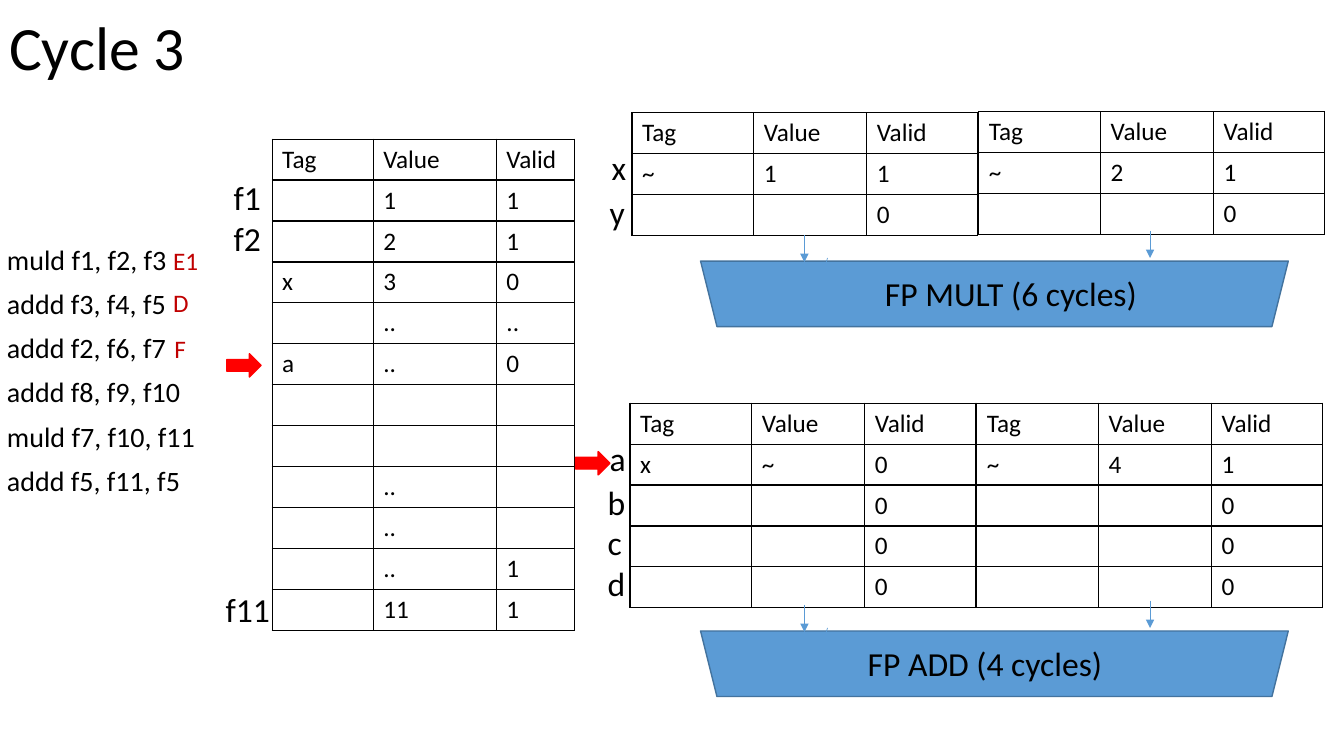
from lxml import etree
from pptx import Presentation
from pptx.dml.color import RGBColor
from pptx.enum.shapes import MSO_CONNECTOR, MSO_SHAPE
from pptx.enum.text import MSO_ANCHOR, MSO_AUTO_SIZE, PP_ALIGN
from pptx.oxml import parse_xml
from pptx.oxml.ns import nsdecls, qn
from pptx.util import Pt

LINE = MSO_CONNECTOR.STRAIGHT
TRAP, ARROW = MSO_SHAPE.TRAPEZOID, MSO_SHAPE.RIGHT_ARROW
LEFT, MIDDLE, TOP = PP_ALIGN.LEFT, MSO_ANCHOR.MIDDLE, MSO_ANCHOR.TOP
FIXED = MSO_AUTO_SIZE.NONE

BLACK = RGBColor(0, 0, 0)
BLUE = RGBColor(0x5B, 0x9B, 0xD5)
NAVY = RGBColor(0x43, 0x73, 0x9E)
RED = RGBColor(0xFF, 0, 0)
CRIMSON = RGBColor(0xC0, 0, 0)

FONT = "Calibri"
ROW = 29.23  # table row height
HEAD = ["Tag", "Value", "Valid"]
FREE = ["", "", "0"]
WIDE = [87.1, 80.7, 79.2]
SLIM = [72.2, 88, 55.8]

CODE = ["muld f1, f2, f3", "addd f3, f4, f5", "addd f2, f6, f7",
        "addd f8, f9, f10", "muld f7, f10, f11", "addd f5, f11, f5"]
REGS = [HEAD, ["", "1", "1"], ["", "2", "1"], ["x", "3", "0"],
        ["", "..", ".."], ["a", "..", "0"], ["", "", ""], ["", "", ""],
        ["", "..", ""], ["", "..", ""], ["", "..", "1"], ["", "11", "1"]]

# Stations: left, top, rows
BANKS = [
    (450, 288, [HEAD, ["x", "~", "0"], FREE, FREE, FREE]),
    (697.7, 288, [HEAD, ["~", "4", "1"], FREE, FREE, FREE]),
    (451.4, 80.6, [HEAD, ["~", "1", "1"], FREE]),
    (699.1, 79.9, [HEAD, ["~", "2", "1"], FREE]),
]
# Row names: text, left, top, width
NAMES = [
    ("a", 428.4, 309.6, 16.6), ("b", 427, 340.6, 17.3),
    ("c", 427, 369.4, 15.8), ("d", 427, 398.2, 17.3),
    ("x", 429.8, 101.5, 16.6), ("y", 428.4, 133.2, 17.3),
    ("f1", 159.8, 123.1, 44.6), ("f2", 159.8, 151.9, 44.6),
    ("f11", 154.1, 416.9, 64.1),
]
# Pipeline stages: text, left, top, width
STAGES = [("E1", 116.6, 171.4, 32.4), ("D", 116.6, 201.6, 25.9),
          ("F", 117.4, 234.7, 23)]
# Unit inputs: x and y at both ends, y measured from the unit's top
INPUTS = [(821.5, -21.6, 821.5, -2.2), (591.1, -2.2, 586.8, 12.2),
          (574.6, -18.7, 574.6, 0.7)]


def apply(item, form):
    for name, value in form.items():
        setattr(item, name, value)


def style(para, size, color=BLACK, **form):
    apply(para, {"alignment": LEFT, **form})
    apply(para.font, {"name": FONT, "size": Pt(size)})
    para.font.color.rgb = color


def place(item, left, top, width, height):
    apply(item, {"left": Pt(left), "top": Pt(top),
                 "width": Pt(width), "height": Pt(height)})


def add_text(slide, text, left, top, width, size=24, color=BLACK, wrap=True):
    box = slide.shapes.add_textbox(Pt(left), Pt(top), Pt(width), Pt(size * 1.5))
    box.text_frame.word_wrap = wrap
    para = box.text_frame.paragraphs[0]
    para.text = text
    style(para, size, color)


def add_grid(slide, left, top, cols, rows):
    frame = slide.shapes.add_table(len(rows), len(cols), Pt(left), Pt(top),
                                   Pt(sum(cols)), Pt(ROW * len(rows)))
    table = frame.table
    apply(table, {"first_row": False, "horz_banding": False})
    for col, width in zip(table.columns, cols):
        col.width = Pt(width)
    for line, words in zip(table.rows, rows):
        line.height = Pt(ROW)
        for cell, word in zip(line.cells, words):
            cell.text = word
            style(cell.text_frame.paragraphs[0], 18)
            cell.fill.background()
            add_edge(cell)


def add_edge(cell):
    props = cell._tc.get_or_add_tcPr()
    for spot, side in enumerate("LRTB"):
        props.insert(spot, parse_xml(
            f'<a:ln{side} {nsdecls("a")} w="12700"><a:solidFill>'
            f'<a:srgbClr val="{BLACK}"/></a:solidFill></a:ln{side}>'))


def add_form(slide, kind, left, top, width, height, fill, edge, turn=0):
    shape = slide.shapes.add_shape(kind, Pt(left), Pt(top), Pt(width), Pt(height))
    shape.rotation = turn
    shape.shadow.inherit = False
    shape.fill.solid()
    shape.fill.fore_color.rgb = fill
    shape.line.color.rgb = edge
    shape.line.width = Pt(1)


def add_input(slide, x1, y1, x2, y2):
    wire = slide.shapes.add_connector(LINE, Pt(x1), Pt(y1), Pt(x2), Pt(y2))
    wire.line.color.rgb = BLUE
    wire.line.width = Pt(0.5)
    etree.SubElement(wire.line._get_or_add_ln(), qn("a:tailEnd"), type="triangle")
    etree.SubElement(wire._element.spPr, qn("a:effectLst"))


def add_unit(slide, top, text, left, width):
    add_form(slide, TRAP, 500.4, top, 419.8, 46.8, BLUE, NAVY, 180)
    for x1, y1, x2, y2 in INPUTS:
        add_input(slide, x1, top + y1, x2, top + y2)
    add_text(slide, text, left, top + 5, width, wrap=False)


def fill_title(slide):
    title = slide.shapes.title
    place(title, -0.7, -15.8, 828, 104.4)
    title.text_frame.text = "Cycle 3"
    apply(title.text_frame, {"vertical_anchor": MIDDLE, "auto_size": FIXED})
    style(title.text_frame.paragraphs[0], 44, line_spacing=0.9)


def fill_code(slide):
    body = slide.placeholders[1]
    place(body, -2.2, 172.1, 828, 342.7)
    frame = body.text_frame
    frame.text = "\n".join(CODE)
    apply(frame, {"vertical_anchor": TOP, "auto_size": FIXED})
    for para in frame.paragraphs:
        style(para, 20, line_spacing=0.9, space_before=Pt(10))
        props = para._p.get_or_add_pPr()
        apply_flat = {"marL": "0", "indent": "0"}
        for name, value in apply_flat.items():
            props.set(name, value)
        spot = props.find(qn("a:defRPr"))
        spot.addprevious(parse_xml(f'<a:buNone {nsdecls("a")}/>'))


def main():
    deck = Presentation()
    apply(deck, {"slide_width": Pt(960), "slide_height": Pt(540)})
    slide = deck.slides.add_slide(deck.slide_layouts[1])
    fill_title(slide)

    # Stations and their units
    for left, top, rows in BANKS:
        add_grid(slide, left, top, WIDE, rows)
    add_unit(slide, 186.5, "FP MULT (6 cycles)", 625, 195.8)
    add_unit(slide, 450.7, "FP ADD (4 cycles)", 612.7, 183.6)

    # Registers and row names
    add_grid(slide, 194.4, 99.4, SLIM, REGS)
    for name in NAMES:
        add_text(slide, *name)

    # Program with its stages
    fill_code(slide)
    for stage in STAGES:
        add_text(slide, *stage, size=18, color=CRIMSON, wrap=False)

    # Red markers
    for left, top in [(162, 252.7), (411.1, 322.6)]:
        add_form(slide, ARROW, left, top, 24.5, 16.6, RED, RED)

    deck.save("out.pptx")


if __name__ == "__main__":
    main()
